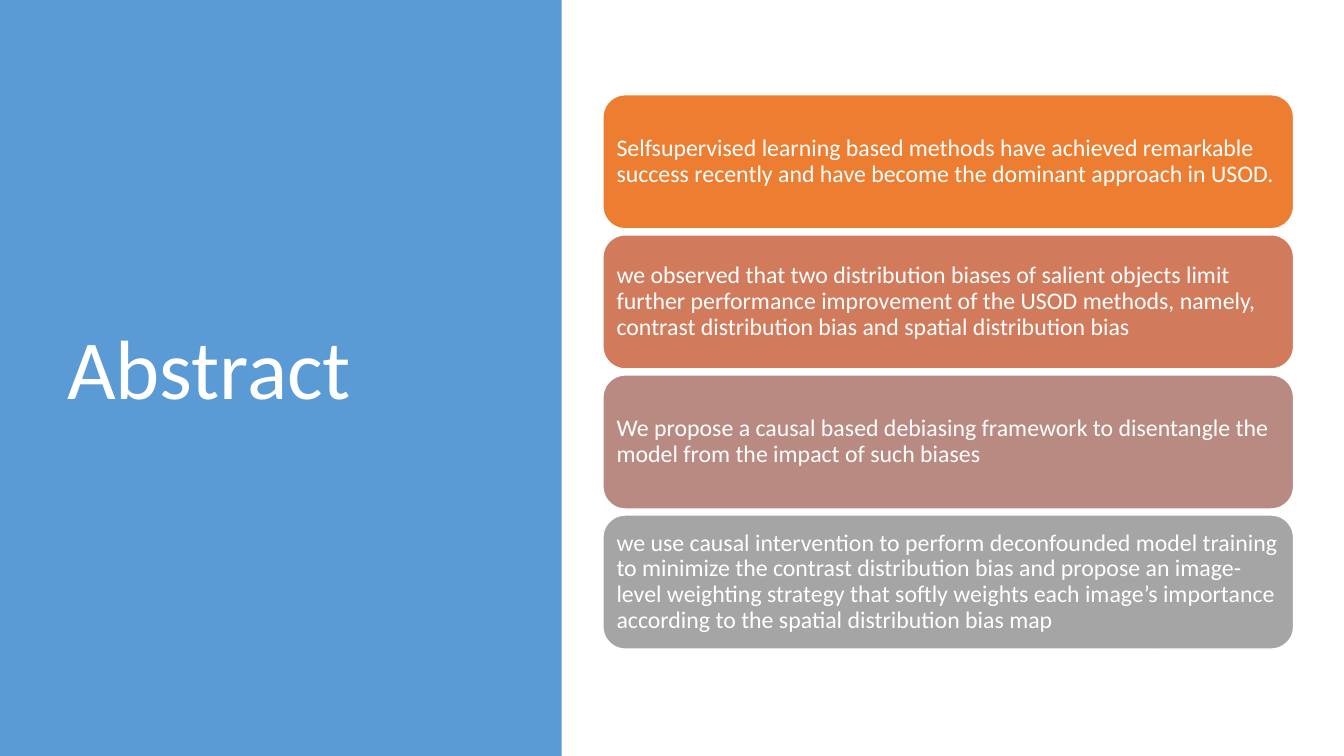
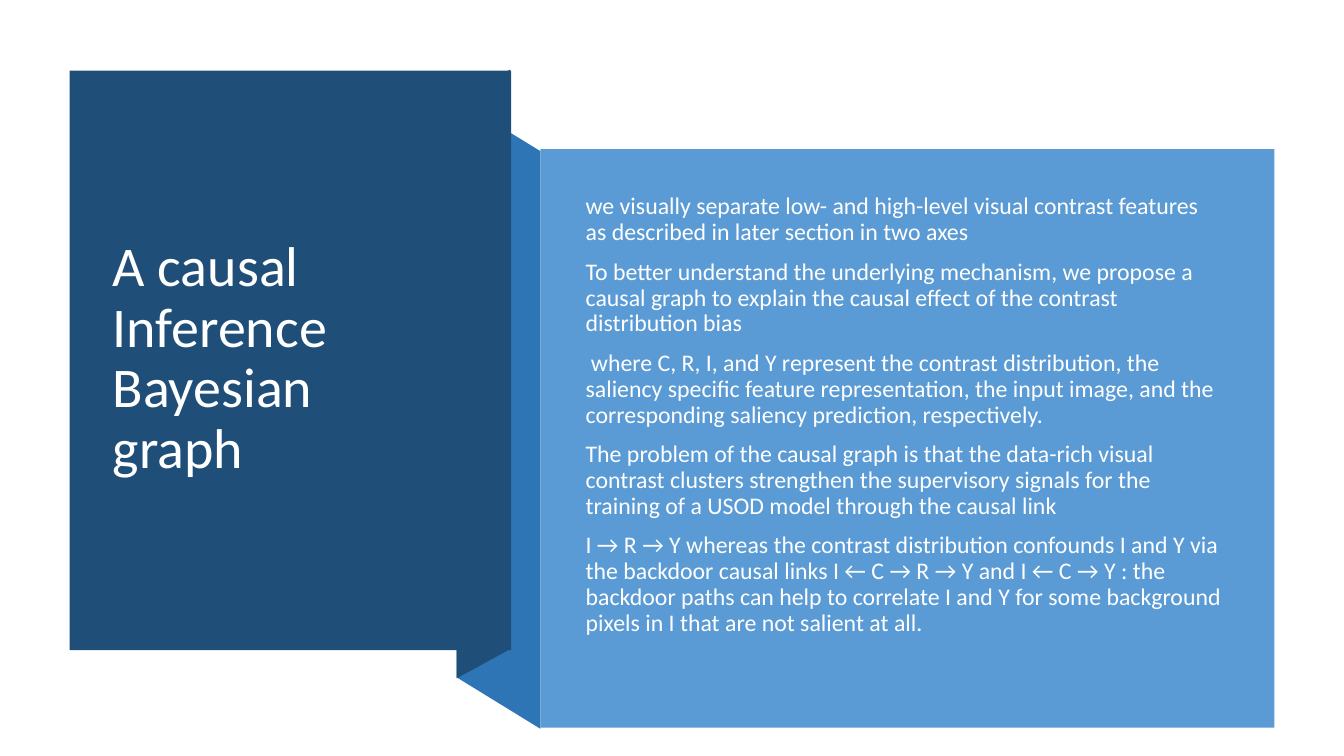
from pptx import Presentation
from pptx import util as u
from pptx.dml.color import RGBColor
from pptx.enum import shapes, text

PX = 9144  # 100 px to the inch
FONT = "Calibri"
BODY_SIZE = 17
WHITE = RGBColor(0xFF, 0xFF, 0xFF)
BLUE = RGBColor(0x5B, 0x9B, 0xD5)
FOLD_BLUE = RGBColor(0x2E, 0x75, 0xB6)
NAVY = RGBColor(0x1F, 0x4E, 0x79)
ORANGE = RGBColor(0xED, 0x7D, 0x31)
TERRACOTTA = RGBColor(0xD1, 0x7B, 0x5C)
ROSE = RGBColor(0xB9, 0x8A, 0x82)
GREY = RGBColor(0xA5, 0xA5, 0xA5)

RECT = shapes.MSO_SHAPE.RECTANGLE
ROUNDED = shapes.MSO_SHAPE.ROUNDED_RECTANGLE
TOP = text.MSO_ANCHOR.TOP
MIDDLE = text.MSO_ANCHOR.MIDDLE

CARD_LEFT, CARD_TOP, CARD_WIDTH, CARD_HEIGHT, CARD_GAP = 598, 94, 685, 133, 6
CARDS = [
    (ORANGE, "Selfsupervised learning based methods have achieved remarkable "
             "success recently and have become the dominant approach in USOD."),
    (TERRACOTTA, "we observed that two distribution biases of salient objects limit "
                 "further performance improvement of the USOD methods, namely, "
                 "contrast distribution bias and spatial distribution bias"),
    (ROSE, "We propose a causal based debiasing framework to disentangle the "
           "model from the impact of such biases"),
    (GREY, "we use causal intervention to perform deconfounded model training "
           "to minimize the contrast distribution bias and propose an image-level "
           "weighting strategy that softly weights each image’s importance "
           "according to the spatial distribution bias map"),
]

GRAPH_NOTES = [
    "we visually separate low- and high-level visual contrast features "
    "as described in later section in two axes",
    "To better understand the underlying mechanism, we propose a causal graph "
    "to explain the causal effect of the contrast distribution bias",
    " where C, R, I, and Y represent the contrast distribution, the saliency "
    "specific feature representation, the input image, and the corresponding "
    "saliency prediction, respectively.",
    "The problem of the causal graph is that the data-rich visual contrast "
    "clusters strengthen the supervisory signals for the training of a USOD "
    "model through the causal link",
    "I → R → Y whereas the contrast distribution confounds I and Y via the "
    "backdoor causal links I ← C → R → Y and I ← C → Y : the backdoor paths can "
    "help to correlate I and Y for some background pixels in I that are not "
    "salient at all.",
]


def style(sp, fill, outline=None):
    sp.shadow.inherit = False
    sp.fill.solid()
    sp.fill.fore_color.rgb = fill
    if outline is None:
        sp.line.fill.background()
    else:
        sp.line.color.rgb = outline
        sp.line.width = u.Pt(1)
    return sp


def add_box(s, kind, box, fill, outline=None):
    sp = s.shapes.add_shape(kind, *(v * PX for v in box))
    return style(sp, fill, outline)


def add_polygon(s, points, fill):
    builder = s.shapes.build_freeform(*points[0], scale=PX)
    builder.add_line_segments(points[1:], close=True)
    return style(builder.convert_to_shape(), fill)


def write(sp, paragraphs, size, anchor=MIDDLE):
    """Fill a shape with white paragraphs; a newline becomes a line break."""
    tf = sp.text_frame
    tf.word_wrap = True
    tf.vertical_anchor = anchor
    for i, content in enumerate(paragraphs):
        p = tf.add_paragraph() if i else tf.paragraphs[0]
        p.alignment = text.PP_ALIGN.LEFT
        p.line_spacing = 0.9
        p.space_before = u.Pt(10 if i else 0)
        for j, line in enumerate(content.split("\n")):
            if j:
                p.add_line_break()
            r = p.add_run()
            r.text = line
            r.font.name = FONT
            r.font.size = u.Pt(size)
            r.font.color.rgb = WHITE
    return tf


def add_text(s, box, paragraphs, size, anchor=MIDDLE):
    write(s.shapes.add_textbox(*(v * PX for v in box)), paragraphs, size, anchor)


def add_card(s, row, fill, content):
    top = CARD_TOP + row * (CARD_HEIGHT + CARD_GAP)
    sp = add_box(s, ROUNDED, (CARD_LEFT, top, CARD_WIDTH, CARD_HEIGHT), fill, WHITE)
    tf = write(sp, [content], BODY_SIZE)
    tf.margin_left = tf.margin_right = tf.margin_top = tf.margin_bottom = 7 * PX


def add_abstract(s):
    add_box(s, RECT, (0, 0, 557, 750), BLUE)
    add_text(s, (57, 68, 416, 602), ["Abstract"], 60)
    for row, (fill, content) in enumerate(CARDS):
        add_card(s, row, fill, content)


def add_causal_graph(s):
    """Draw the title panel folding like a ribbon behind the notes panel."""
    add_polygon(s, [(536, 723), (453, 672), (453, 99), (536, 150)], FOLD_BLUE)
    add_polygon(s, [(506, 644), (453, 673), (453, 98), (506, 69)], NAVY)
    add_box(s, RECT, (69, 70, 438, 575), NAVY)
    add_text(s, (102, 107, 371, 499), ["A causal Inference Bayesian\ngraph"], 40)
    add_box(s, RECT, (536, 148, 728, 574), BLUE)
    add_text(s, (571, 188, 651, 474), GRAPH_NOTES, BODY_SIZE, TOP)


def main():
    prs = Presentation()
    prs.slide_width = u.Inches(13.33)
    prs.slide_height = u.Inches(7.5)
    blank = prs.slide_layouts[6]
    for build in (add_abstract, add_causal_graph):
        build(prs.slides.add_slide(blank))
    prs.save("out.pptx")


if __name__ == "__main__":
    main()
